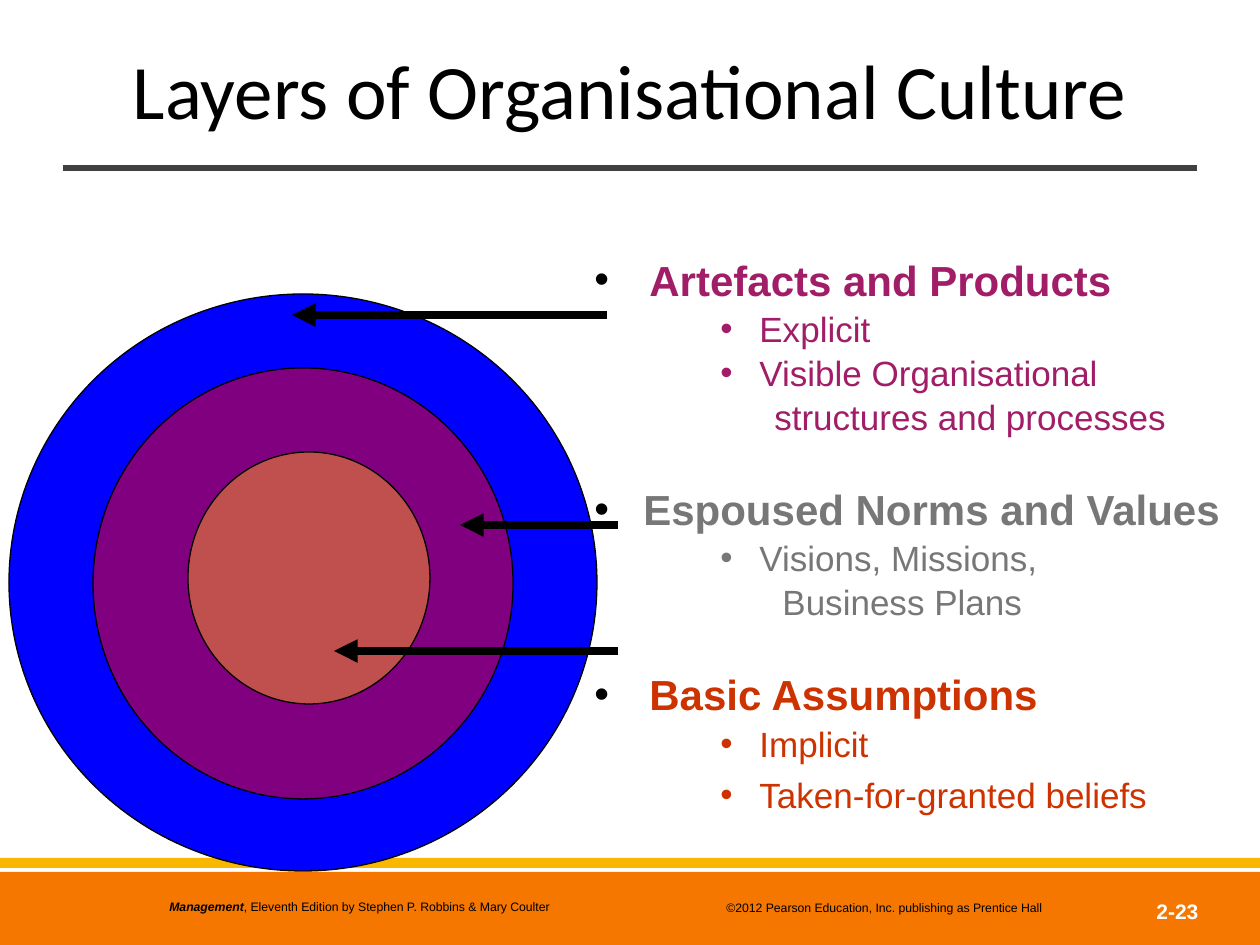
from lxml import etree
from pptx import Presentation
from pptx.dml.color import RGBColor
from pptx.enum.shapes import MSO_CONNECTOR, MSO_SHAPE
from pptx.enum.text import MSO_ANCHOR, PP_ALIGN
from pptx.oxml.ns import qn
from pptx.util import Emu, Pt

STRAIGHT = MSO_CONNECTOR.STRAIGHT
RECTANGLE = MSO_SHAPE.RECTANGLE
OVAL = MSO_SHAPE.OVAL
TOP = MSO_ANCHOR.TOP
MIDDLE = MSO_ANCHOR.MIDDLE
LEFT = PP_ALIGN.LEFT
CENTER = PP_ALIGN.CENTER

BLACK = RGBColor(0x00, 0x00, 0x00)
WHITE = RGBColor(0xFF, 0xFF, 0xFF)
CHARCOAL = RGBColor(0x40, 0x40, 0x40)
ORANGE = RGBColor(0xF5, 0x77, 0x00)
AMBER = RGBColor(0xFA, 0xB7, 0x00)
BLUE = RGBColor(0x00, 0x00, 0xFF)
PURPLE = RGBColor(0x80, 0x00, 0x80)
BRICK = RGBColor(0xC0, 0x50, 0x4D)
MAGENTA = RGBColor(0xA1, 0x1D, 0x68)
GREY = RGBColor(0x77, 0x77, 0x77)
RUST = RGBColor(0xCC, 0x33, 0x00)

SLIDE = (0, 0, 1260, 945)
HEADING_BULLET = 31
POINT_BULLET = 157
POINT_TEXT = 196

SECTIONS = [
    ("Artefacts and Products", MAGENTA, 86, 0, [
        ("Explicit", POINT_TEXT, True, 3),
        ("Visible Organisational", POINT_TEXT, True, 2),
        ("structures and processes", 211, False, 2)]),
    ("Espoused Norms and Values", GREY, 80, 46, [
        ("Visions, Missions,", POINT_TEXT, True, 3),
        ("Business Plans", 219, False, 2)]),
    ("Basic Assumptions", RUST, 86, 46, [
        ("Implicit", POINT_TEXT, True, 3),
        ("Taken-for-granted beliefs", POINT_TEXT, True, 9)]),
]


def px(length):
    """Turn a length in px into EMU."""
    return Emu(round(length * 914400 / 126))


def place(box, left, top, width, height):
    """Return a box given relative to the corner of another box."""
    return box[0] + left, box[1] + top, width, height


def add_span(para, text, size, color, font="Arial", bold=False, italic=False):
    """Add one formatted run to a paragraph."""
    span = para.add_run()
    span.text = text
    span.font.name = font
    span.font.size = Pt(size)
    span.font.bold = bold
    span.font.italic = italic
    span.font.color.rgb = color


def add_frame(page, box, anchor=MIDDLE, align=LEFT):
    """Add a wrapping text box and return its text frame."""
    frame = page.shapes.add_textbox(*map(px, box)).text_frame
    frame.word_wrap = True
    frame.vertical_anchor = anchor
    frame.paragraphs[0].alignment = align
    return frame


def add_block(page, kind, box, color, outline=None):
    """Add a filled shape, outlined only when a colour is given."""
    shape = page.shapes.add_shape(kind, *map(px, box))
    shape.shadow.inherit = False
    shape.fill.solid()
    shape.fill.fore_color.rgb = color
    if outline is None:
        shape.line.fill.background()
    else:
        shape.line.color.rgb = outline
        shape.line.width = Pt(0.75)


def add_line(page, start, end, color, width, arrow=False):
    """Add a straight line, with an arrowhead at its end if asked for."""
    line = page.shapes.add_connector(STRAIGHT, *map(px, (*start, *end)))
    line.line.color.rgb = color
    line.line.width = Pt(width)
    if arrow:
        etree.SubElement(line.line._get_or_add_ln(), qn("a:tailEnd"), type="triangle")
    etree.SubElement(line._element.spPr, qn("a:effectLst"))


def indent(para, margin, bullet_at=None, color=BLACK):
    """Set the left margin of a paragraph and its bullet, if it has one."""
    props = para._p.get_or_add_pPr()
    props.set("marL", str(px(margin)))
    if bullet_at is None:
        props.set("indent", "0")
        etree.SubElement(props, qn("a:buNone"))
        return
    props.set("indent", str(px(bullet_at - margin)))
    tint = etree.SubElement(props, qn("a:buClr"))
    etree.SubElement(tint, qn("a:srgbClr"), val=str(color))
    etree.SubElement(props, qn("a:buFont"), typeface="Arial")
    etree.SubElement(props, qn("a:buChar"), char="•")


def add_header(page, box):
    """Draw the title and the rule below it."""
    left, top, width, height = box
    para = add_frame(page, box, align=CENTER).paragraphs[0]
    add_span(para, "Layers of Organisational Culture", 44, BLACK, "Calibri")
    bottom = top + height
    add_line(page, (left, bottom), (left + width, bottom), CHARCOAL, 3.5)


def add_footer(page, box):
    """Draw the two bands, the book credit and the page number."""
    width = box[2]
    add_block(page, RECTANGLE, place(box, 0, 14, width, 73), ORANGE)
    add_block(page, RECTANGLE, place(box, 0, 0, width, 10), AMBER)
    para = add_frame(page, place(box, 157, 35, 703, 28)).paragraphs[0]
    add_span(para, "Management", 7, BLACK, bold=True, italic=True)
    add_span(para, ", Eleventh Edition by Stephen P. Robbins & Mary Coulter", 7, BLACK)
    para = add_frame(page, place(box, 714, 36, 462, 28)).paragraphs[0]
    add_span(para, "©2012 Pearson Education, Inc. publishing as Prentice Hall", 7, BLACK)
    para = add_frame(page, place(box, 1144, 22, 116, 63)).paragraphs[0]
    add_span(para, "2-23", 12, WHITE, bold=True)


def add_rings(page, box):
    """Draw the nested layers of culture."""
    rings = [
        ((0, 0, 588, 577), BLUE),
        ((84, 74, 420, 431), PURPLE),
        ((179, 158, 242, 252), BRICK),
    ]
    for ring, color in rings:
        add_block(page, OVAL, place(box, *ring), color, BLACK)


def add_outline(page, box):
    """Write the headings and points that describe the layers."""
    frame = add_frame(page, box, TOP)
    para = frame.paragraphs[0]
    for heading, color, margin, gap, points in SECTIONS:
        if gap:
            para = frame.add_paragraph()
            para.space_before = px(gap)
        indent(para, margin, HEADING_BULLET)
        add_span(para, heading, 24, color, bold=True)
        for text, text_at, bulleted, space in points:
            para = frame.add_paragraph()
            para.space_before = px(space)
            indent(para, text_at, POINT_BULLET if bulleted else None, color)
            add_span(para, text, 20, color)


def add_pointers(page, box):
    """Draw the arrows from the headings to their layers."""
    left, top = box[:2]
    for tail, tip, height in [(315, 0, 0), (326, 168, 210), (326, 42, 336)]:
        add_line(page, (left + tail, top + height), (left + tip, top + height),
                 BLACK, 4.5, arrow=True)


def main():
    """Build the slide and save the deck."""
    deck = Presentation()
    deck.slide_width, deck.slide_height = map(px, SLIDE[2:])
    page = deck.slides.add_slide(deck.slide_layouts[6])
    add_footer(page, (0, 858, 1260, 87))
    add_header(page, (63, 10, 1134, 158))
    add_rings(page, (9, 294, 588, 577))
    add_outline(page, (551, 248, 702, 551))
    add_pointers(page, (292, 315, 326, 336))
    deck.save("out.pptx")


if __name__ == "__main__":
    main()
